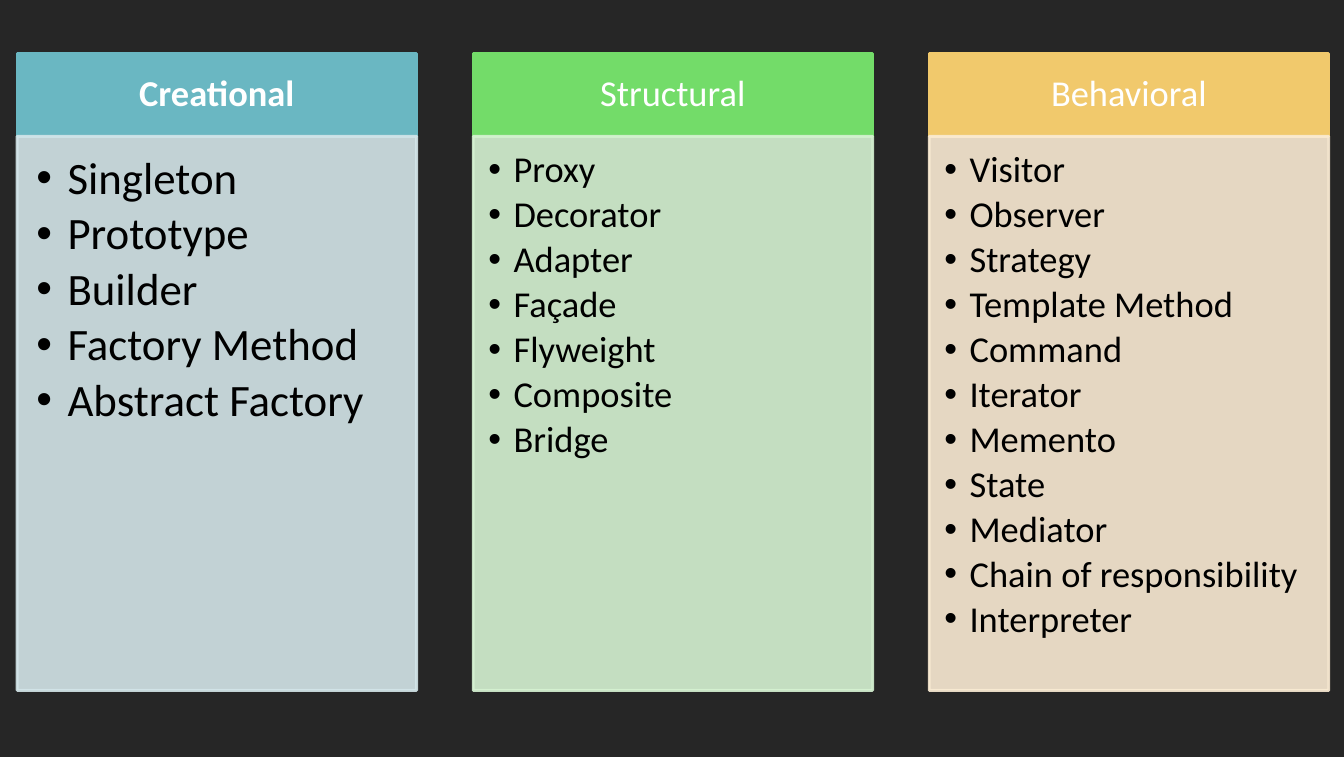
from lxml import etree
from pptx import Presentation
from pptx import util as u
from pptx.dml.color import RGBColor
from pptx.enum import shapes, text
from pptx.oxml.ns import qn

PX = 9144
LEFT, HEADER_TOP, STEP = 17, 53, 452
WIDTH, HEADER_HEIGHT, BODY_HEIGHT = 396, 82, 549

columns = [
    dict(title="Creational", bold=True, header="6AB7C2", body="D3E5E9",
         size=32, inset=19, indent=31, before=5,
         patterns=["Singleton", "Prototype", "Builder", "Factory Method",
                   "Abstract Factory"]),
    dict(title="Structural", bold=False, header="73DC69", body="D6F2D2",
         size=26, inset=15, indent=25, before=4,
         patterns=["Proxy", "Decorator", "Adapter", "Façade", "Flyweight",
                   "Composite", "Bridge"]),
    dict(title="Behavioral", bold=False, header="F1C96C", body="FAEBD3",
         size=26, inset=15, indent=25, before=4,
         patterns=["Visitor", "Observer", "Strategy", "Template Method",
                   "Command", "Iterator", "Memento", "State", "Mediator",
                   "Chain of responsibility", "Interpreter"]),
]


def paint(fill, colour):
    fill.solid()
    fill.fore_color.rgb = RGBColor.from_string(colour)


def write(shape, lines, size, colour, inset, align, anchor,
          bold=False, before=0, indent=0):
    frame = shape.text_frame
    frame.word_wrap = True
    frame.vertical_anchor = anchor
    frame.margin_left = frame.margin_right = inset * PX
    frame.margin_top = frame.margin_bottom = inset * PX
    for index, line in enumerate(lines):
        paragraph = frame.add_paragraph() if index else frame.paragraphs[0]
        if indent:
            paragraph.level = 1
            properties = paragraph._p.get_or_add_pPr()
            properties.set("marL", str(indent * PX))
            properties.set("indent", str(-indent * PX))
            etree.SubElement(properties, qn("a:buFont"), typeface="Arial")
            etree.SubElement(properties, qn("a:buChar"), char="•")
        paragraph.alignment = align
        paragraph.line_spacing = 0.9
        paragraph.space_before = u.Pt(before if index else 0)
        run = paragraph.add_run()
        run.text = line
        run.font.name = "Calibri"
        run.font.size = u.Pt(size)
        run.font.bold = bold
        paint(run.font.fill, colour)


presentation = Presentation()
presentation.slide_width = 1332 * PX
presentation.slide_height = 750 * PX
slide = presentation.slides.add_slide(presentation.slide_layouts[6])
paint(slide.background.fill, "262626")

for number, column in enumerate(columns):
    left = LEFT + number * STEP
    panels = []
    for top, height, colour in [
        (HEADER_TOP, HEADER_HEIGHT, column["header"]),
        (HEADER_TOP + HEADER_HEIGHT, BODY_HEIGHT, column["body"]),
    ]:
        panel = slide.shapes.add_shape(
            shapes.MSO_SHAPE.RECTANGLE,
            left * PX, top * PX, WIDTH * PX, height * PX)
        panel.shadow.inherit = False
        paint(panel.fill, colour)
        paint(panel.line.fill, colour)
        panel.line.width = u.Pt(2)
        panels.append(panel)

    header, body = panels
    for tint in list(body._element.spPr.iter(qn("a:srgbClr"))):
        etree.SubElement(tint, qn("a:alpha"), val="90000")

    write(header, [column["title"]], size=26, colour="FFFFFF", inset=12,
          align=text.PP_ALIGN.CENTER, anchor=text.MSO_ANCHOR.MIDDLE,
          bold=column["bold"])
    write(body, column["patterns"], size=column["size"], colour="000000",
          inset=column["inset"], align=text.PP_ALIGN.LEFT,
          anchor=text.MSO_ANCHOR.TOP, before=column["before"],
          indent=column["indent"])

presentation.save("out.pptx")
